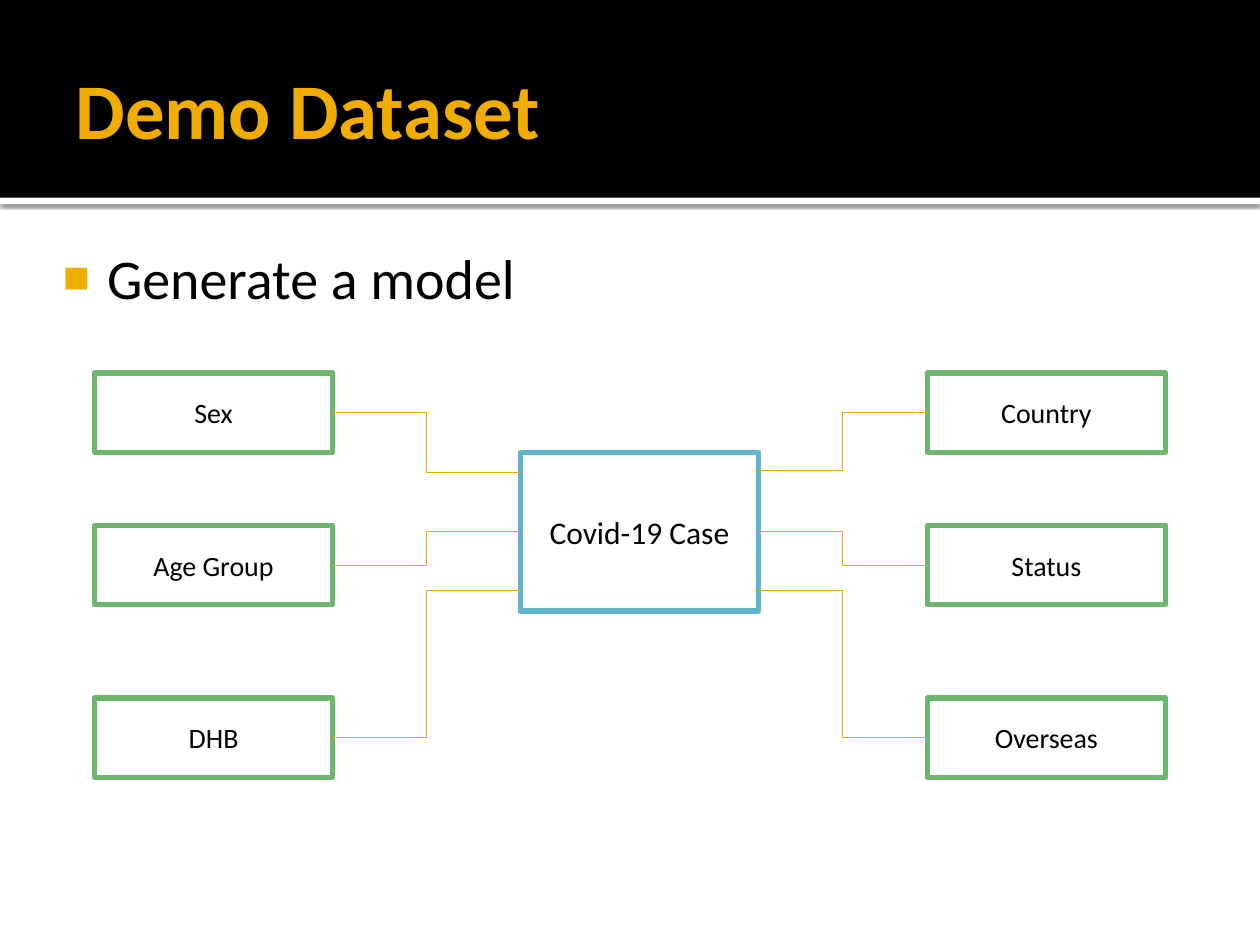
from dataclasses import dataclass

from lxml import etree
from pptx import Presentation
from pptx.dml.color import RGBColor
from pptx.enum.shapes import MSO_CONNECTOR, MSO_SHAPE
from pptx.enum.text import MSO_ANCHOR, MSO_AUTO_SIZE, PP_ALIGN
from pptx.oxml import parse_xml
from pptx.oxml.ns import nsdecls, qn
from pptx.util import Inches, Pt

RECT = MSO_SHAPE.RECTANGLE
ELBOW = MSO_CONNECTOR.ELBOW
MIDDLE, TOP = MSO_ANCHOR.MIDDLE, MSO_ANCHOR.TOP
LEFT, CENTER = PP_ALIGN.LEFT, PP_ALIGN.CENTER
NO_FIT = MSO_AUTO_SIZE.NONE

BLACK = RGBColor(0x00, 0x00, 0x00)
WHITE = RGBColor(0xFF, 0xFF, 0xFF)
GOLD = RGBColor(0xF0, 0xAD, 0x00)
AMBER = RGBColor(0xEB, 0xA9, 0x00)
BLUE = RGBColor(0x60, 0xB5, 0xCC)
GREEN = RGBColor(0x6B, 0xB7, 0x6D)
FONT = "Calibri"


@dataclass
class Box:
    text: str
    left: float
    top: float
    height: float = 0.63
    width: float = 1.89
    color: RGBColor = GREEN
    size: int = 16

    @property
    def right(self) -> float:
        return self.left + self.width

    @property
    def mid(self) -> float:
        return self.top + self.height / 2


CASE = Box("Covid-19 Case", 4.13, 3.59, height=1.26, color=BLUE, size=18)
ROWS = (2.96, 4.17, 5.54)
INPUTS = [Box(text, 0.75, top)
          for text, top in zip(("Sex", "Age Group", "DHB"), ROWS)]
OUTPUTS = [Box(text, 7.36, top)
           for text, top in zip(("Country", "Status", "Overseas"), ROWS)]
# Heights at which the links meet the two sides of the case box
IN_PORTS = (3.75, 4.22, 4.69)
OUT_PORTS = (3.73, 4.22, 4.69)


def write(frame, text: str, *, size: int, color: RGBColor = BLACK,
          bold: bool = False, align=LEFT, anchor=MIDDLE, insets=None):
    frame.word_wrap = True
    frame.auto_size = NO_FIT
    frame.vertical_anchor = anchor
    if insets:
        (frame.margin_left, frame.margin_top,
         frame.margin_right, frame.margin_bottom) = map(Inches, insets)
    para = frame.paragraphs[0]
    para.alignment = align
    para.space_before = Pt(0)
    run = para.add_run()
    run.text = text
    run.font.name = FONT
    run.font.size = Pt(size)
    run.font.bold = bold
    run.font.color.rgb = color
    return para


def place(shape, left: float, top: float, width: float, height: float) -> None:
    shape.left, shape.top = Inches(left), Inches(top)
    shape.width, shape.height = Inches(width), Inches(height)


def add_band(slide, top: float, height: float, color: RGBColor):
    band = slide.shapes.add_shape(
        RECT, 0, Inches(top), Inches(10), Inches(height))
    band.shadow.inherit = False
    band.fill.solid()
    band.fill.fore_color.rgb = color
    band.line.fill.background()
    return band


def add_shade(shape) -> None:
    """Cast a soft black shadow straight down."""
    effects = shape._element.spPr.find(qn("a:effectLst"))
    effects.append(parse_xml(
        f'<a:outerShdw {nsdecls("a")} blurRad="{Pt(2.5)}" dist="{Pt(0.8)}" '
        'dir="5400000" algn="t" rotWithShape="0">'
        '<a:srgbClr val="000000"><a:alpha val="60000"/></a:srgbClr>'
        '</a:outerShdw>'))


def add_box(slide, box: Box) -> None:
    shape = slide.shapes.add_shape(
        RECT, Inches(box.left), Inches(box.top),
        Inches(box.width), Inches(box.height))
    shape.shadow.inherit = False
    shape.fill.background()
    shape.line.color.rgb = box.color
    shape.line.width = Pt(3)
    write(shape.text_frame, box.text, size=box.size, align=CENTER)


def add_link(slide, x1: float, y1: float, x2: float, y2: float) -> None:
    link = slide.shapes.add_connector(
        ELBOW, Inches(x1), Inches(y1), Inches(x2), Inches(y2))
    link.line.color.rgb = AMBER
    link.line.width = Pt(0.5)
    etree.SubElement(link._element.spPr, qn("a:effectLst"))


def add_bullet(para, color: RGBColor) -> None:
    props = para._p.get_or_add_pPr()
    props.set("marL", str(Inches(0.48)))
    props.set("indent", str(Inches(-0.35)))
    tint = etree.SubElement(props, qn("a:buClr"))
    etree.SubElement(tint, qn("a:srgbClr"), val=str(color))
    etree.SubElement(props, qn("a:buSzPct"), val="80000")
    etree.SubElement(props, qn("a:buFont"), typeface="Arial")
    etree.SubElement(props, qn("a:buChar"), char="■")


def main() -> None:
    deck = Presentation()
    deck.slide_width, deck.slide_height = Inches(10), Inches(7.5)
    slide = deck.slides.add_slide(deck.slide_layouts[1])
    title, body = slide.shapes.title, slide.placeholders[1]
    tree = slide.shapes._spTree

    add_shade(add_band(slide, 1.57, 0.05, WHITE))
    add_band(slide, 0, 1.57, BLACK)

    tree.append(title._element)  # in front of the bands
    place(title, 0.5, 0.17, 9, 1.37)
    write(title.text_frame, "Demo Dataset", size=45, color=GOLD, bold=True,
          insets=(0.1, 0.05, 0.05, 0.05))

    for box in (CASE, *INPUTS, *OUTPUTS):
        add_box(slide, box)
    for box, port in zip(INPUTS, IN_PORTS):
        add_link(slide, box.right, box.mid, CASE.left, port)
    for box, port in zip(OUTPUTS, OUT_PORTS):
        add_link(slide, box.left, box.mid, CASE.right, port)

    tree.append(body._element)
    place(body, 0.31, 1.83, 9.53, 5.04)
    para = write(body.text_frame, "Generate a model", size=32, anchor=TOP,
                 insets=(0.06, 0.1, 0.1, 0.05))
    add_bullet(para, GOLD)

    deck.save("out.pptx")


if __name__ == "__main__":
    main()
